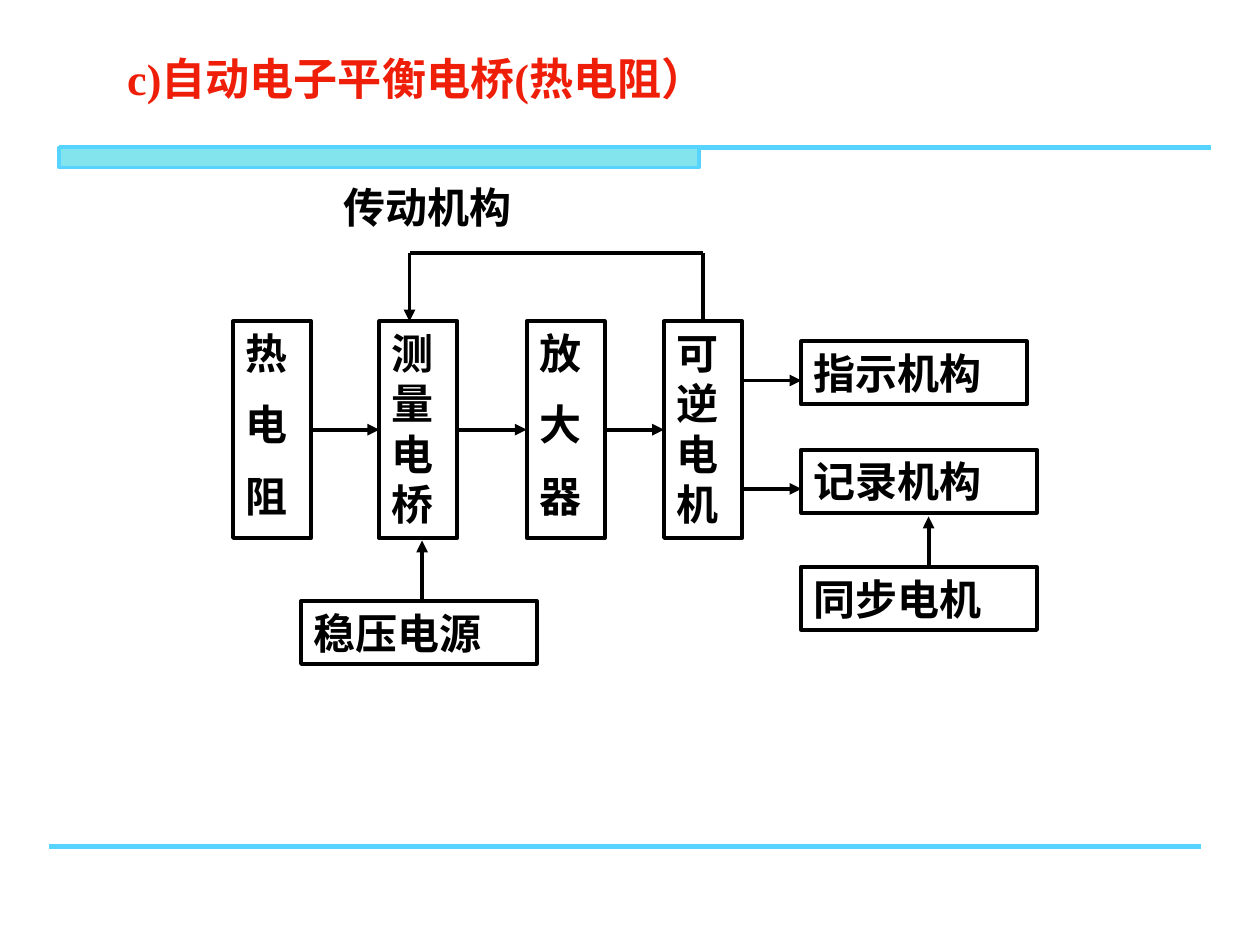
from pptx import Presentation
from pptx import util as u
from pptx.dml.color import RGBColor
from pptx.enum import shapes, text
from pptx.oxml.ns import qn
from lxml import etree

Inches, Pt = u.Inches, u.Pt
COLORS = {"title": "EE1E08", "ink": "000000", "rule": "57D3FF", "band": "84E4EE"}

prs = Presentation()
prs.slide_width, prs.slide_height = Inches(10), Inches(7.5)
slide = prs.slides.add_slide(prs.slide_layouts[5])


def write(frame, content, font="Karla", size=24, color="ink", anchor=text.MSO_ANCHOR.TOP):
    """Fill a text frame with one paragraph per line of content."""
    frame.word_wrap = True
    frame.auto_size = text.MSO_AUTO_SIZE.NONE
    frame.vertical_anchor = anchor
    frame.text = content
    for index, paragraph in enumerate(frame.paragraphs):
        paragraph.alignment = text.PP_ALIGN.LEFT
        paragraph.space_before = Pt(12 if index else 0)
        paragraph.font.name = font
        paragraph.font.size = Pt(size)
        paragraph.font.bold = True
        paragraph.font.color.rgb = RGBColor.from_string(COLORS[color])


def connect(x1, y1, x2, y2, color="ink", width=2.25, arrow=True):
    """Draw a straight line, with an arrowhead at its end if wanted."""
    line = slide.shapes.add_connector(
        shapes.MSO_CONNECTOR.STRAIGHT, Inches(x1), Inches(y1), Inches(x2), Inches(y2))
    line.line.color.rgb = RGBColor.from_string(COLORS[color])
    line.line.width = Pt(width)
    if arrow:
        etree.SubElement(line.line._get_or_add_ln(), qn("a:tailEnd"), type="triangle")
    etree.SubElement(line._element.spPr, qn("a:effectLst"))


# Header and footer rules
connect(0.47, 1.17, 9.61, 1.17, color="rule", width=3, arrow=False)
band = slide.shapes.add_shape(
    shapes.MSO_SHAPE.RECTANGLE, Inches(0.47), Inches(1.17), Inches(5.08), Inches(0.16))
band.shadow.inherit = False
band.fill.solid()
band.fill.fore_color.rgb = RGBColor.from_string(COLORS["band"])
band.line.color.rgb = RGBColor.from_string(COLORS["rule"])
band.line.width = Pt(2)
connect(0.39, 6.72, 9.53, 6.72, color="rule", width=3, arrow=False)

# Title
title = slide.shapes.title
title.left, title.top, title.width, title.height = (
    Inches(0.91), Inches(0.36), Inches(6.65), Inches(0.51))
write(title.text_frame, "c)自动电子平衡电桥(热电阻）", font="Times New Roman",
      size=25.2, color="title", anchor=text.MSO_ANCHOR.MIDDLE)

# Stages of the main chain (tall) and the units around it (wide)
stage_top, stage_width, stage_height = 2.55, 0.62, 1.72
unit_left, unit_width, unit_height = 6.36, 1.87, 0.5
stages = [("热\n电\n阻", 1.85), ("测量电桥", 3.01), ("放\n大\n器", 4.18), ("可逆电机", 5.27)]
blocks = [(label, left, stage_top, stage_width, stage_height, "Karla")
          for label, left in stages]
blocks += [
    ("指示机构", unit_left, 2.71, 1.79, unit_height, "Calibri"),
    ("记录机构", unit_left, 3.57, unit_width, unit_height, "Karla"),
    ("同步电机", unit_left, 4.5, unit_width, unit_height, "Karla"),
    ("稳压电源", 2.39, 4.77, unit_width, unit_height, "Karla"),
]
for label, left, top, width, height, font in blocks:
    block = slide.shapes.add_shape(
        shapes.MSO_SHAPE.RECTANGLE, Inches(left), Inches(top), Inches(width), Inches(height))
    block.shadow.inherit = False
    block.fill.background()
    block.line.color.rgb = RGBColor.from_string(COLORS["ink"])
    block.line.width = Pt(2.25)
    write(block.text_frame, label, font=font)

# Signal flow along the chain
for (_, left), (_, next_left) in zip(stages, stages[1:]):
    connect(left + stage_width, 3.41, next_left, 3.41)

# Motor to the indicating and recording units
motor_right = stages[-1][1] + stage_width
for y in (3.02, 3.88):
    connect(motor_right, y, unit_left, y)

# Synchronous motor and power supply feed upwards
connect(7.37, 4.49, 7.37, 4.1)
connect(3.35, 4.75, 3.35, 4.29)

# Feedback from the motor to the bridge
connect(5.58, stage_top, 5.58, 2.01, arrow=False)
connect(5.58, 2.01, 3.25, 2.01, arrow=False)
connect(3.25, 2.01, 3.25, stage_top)
transmission = slide.shapes.add_textbox(Inches(2.63), Inches(1.39), Inches(4.75), Inches(0.5))
write(transmission.text_frame, "传动机构", font="Times New Roman")

prs.save("out.pptx")
